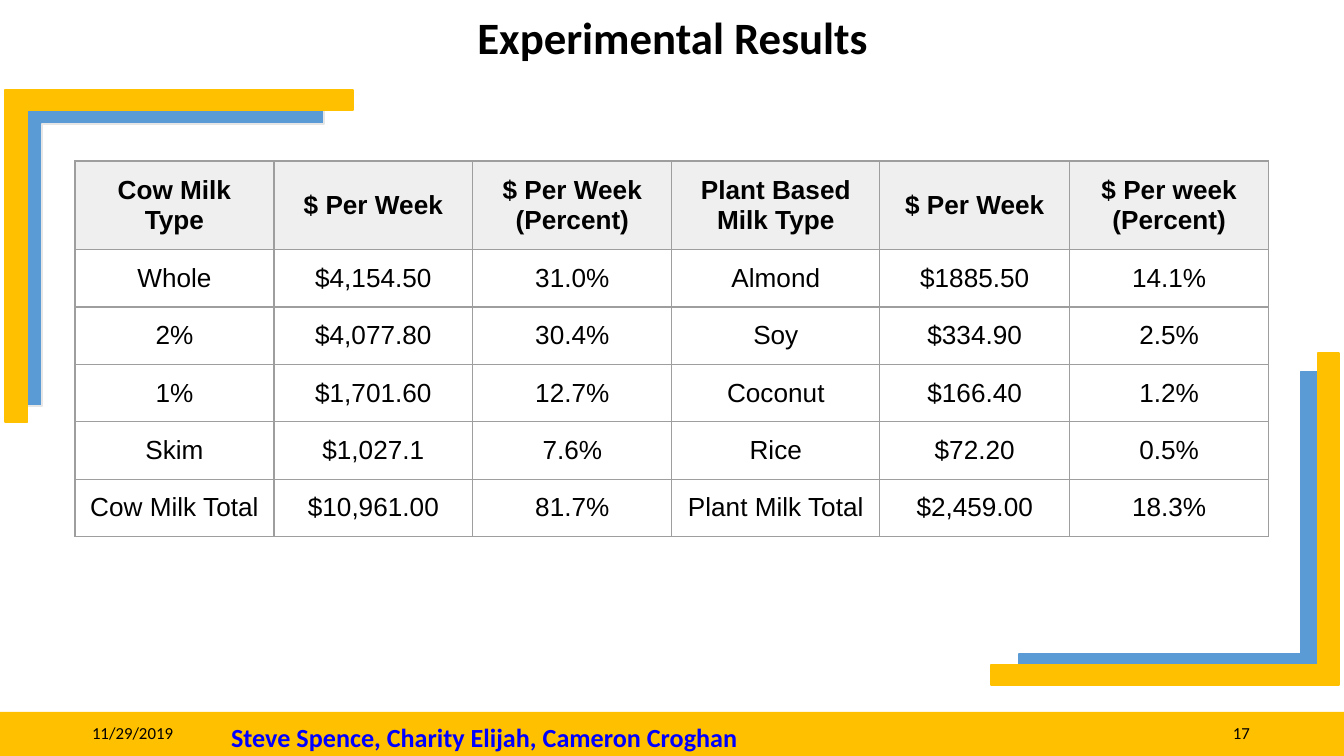
from dataclasses import dataclass

from lxml.etree import SubElement
from pptx import Presentation
from pptx.dml.color import RGBColor
from pptx.enum.shapes import MSO_SHAPE
from pptx.enum.text import MSO_ANCHOR, PP_ALIGN
from pptx.oxml.ns import qn
from pptx.util import Emu, Pt

SCALE = 9144000 / 1344

BLACK = RGBColor(0x00, 0x00, 0x00)
WHITE = RGBColor(0xFF, 0xFF, 0xFF)
GOLD = RGBColor(0xFF, 0xC0, 0x00)
BLUE = RGBColor(0x5B, 0x9B, 0xD5)
NAVY = RGBColor(0x00, 0x00, 0xFF)
PALE = RGBColor(0xE7, 0xE6, 0xE6)
HEADER = RGBColor(0xEF, 0xEF, 0xEF)
BORDER = RGBColor(0x9E, 0x9E, 0x9E)

COLUMNS = [199, 199, 199, 208, 190, 199]
ROWS = [86, 56, 56, 56, 56, 56]
RESULTS = [
    ["Cow Milk Type", "$ Per Week", "$ Per Week (Percent)",
     "Plant Based Milk Type", "$ Per Week", "$ Per week (Percent)"],
    ["Whole", "$4,154.50", "31.0%", "Almond", "$1885.50", "14.1%"],
    ["2%", "$4,077.80", "30.4%", "Soy", "$334.90", "2.5%"],
    ["1%", "$1,701.60", "12.7%", "Coconut", "$166.40", "1.2%"],
    ["Skim", "$1,027.1", "7.6%", "Rice", "$72.20", "0.5%"],
    ["Cow Milk Total", "$10,961.00", "81.7%", "Plant Milk Total", "$2,459.00", "18.3%"],
]


@dataclass
class Box:
    x: int
    y: int
    w: int
    h: int

    def emu(self) -> list[Emu]:
        return [px(v) for v in (self.x, self.y, self.w, self.h)]


@dataclass
class Corner:
    box: Box
    fill: RGBColor
    line: RGBColor
    bars: tuple[float, float]
    rotation: int = 0


@dataclass
class Label:
    box: Box
    text: str
    size: int
    color: RGBColor = BLACK
    bold: bool = False
    align: PP_ALIGN = PP_ALIGN.LEFT
    anchor: MSO_ANCHOR = MSO_ANCHOR.MIDDLE
    insets: tuple[int, int] = (9, 5)


CORNERS = [
    Corner(Box(19, 101, 305, 305), BLUE, PALE, (0.074, 0.077), 180),
    Corner(Box(1019, 372, 305, 305), BLUE, BLUE, (0.074, 0.077)),
    Corner(Box(5, 90, 348, 332), GOLD, GOLD, (0.061, 0.068), 180),
    Corner(Box(991, 353, 348, 332), GOLD, GOLD, (0.061, 0.064)),
]
FOOTER = [
    Label(Box(83, 711, 177, 44), "11/29/2019", 9),
    Label(Box(1083, 711, 176, 44), "17", 9, align=PP_ALIGN.RIGHT),
    Label(Box(218, 708, 707, 55), "Steve Spence, Charity Elijah, Cameron Croghan", 14,
          NAVY, True, anchor=MSO_ANCHOR.TOP, insets=(13, 13)),
]
TITLE = Label(Box(426, 0, 493, 79), "Experimental Results", 24, bold=True,
              align=PP_ALIGN.CENTER)


def px(value: int) -> Emu:
    return Emu(round(value * SCALE))


def assign(obj, values: dict) -> None:
    for name, value in values.items():
        setattr(obj, name, value)


def set_margins(obj, insets: tuple[int, int]) -> None:
    across, down = map(px, insets)
    assign(obj, {"margin_left": across, "margin_right": across,
                 "margin_top": down, "margin_bottom": down})


def set_text(tf, text: str, font: dict, color: RGBColor, align: PP_ALIGN) -> None:
    p = tf.paragraphs[0]
    p.alignment = align
    r = p.add_run()
    r.text = text
    assign(r.font, font)
    r.font.color.rgb = color


def format_label(sp, label: Label) -> None:
    assign(sp, dict(zip(("left", "top", "width", "height"), label.box.emu())))
    tf = sp.text_frame
    assign(tf, {"word_wrap": True, "vertical_anchor": label.anchor})
    set_margins(tf, label.insets)
    font = {"name": "Calibri", "size": Pt(label.size), "bold": label.bold}
    set_text(tf, label.text, font, label.color, label.align)


def add_filled(s, kind: MSO_SHAPE, box: Box, fill: RGBColor):
    sp = s.shapes.add_shape(kind, *box.emu())
    sp.shadow.inherit = False
    sp.fill.solid()
    sp.fill.fore_color.rgb = fill
    sp.line.fill.background()
    return sp


def add_corner(s, corner: Corner) -> None:
    sp = add_filled(s, MSO_SHAPE.CORNER, corner.box, corner.fill)
    sp.line.color.rgb = corner.line
    sp.line.width = Pt(1)
    sp.rotation = corner.rotation
    for i, bar in enumerate(corner.bars):
        sp.adjustments[i] = bar
    sp._element.spPr.get_or_add_xfrm().set("flipH", "1")


def add_borders(cell) -> None:
    tc_pr = cell._tc.get_or_add_tcPr()
    for side in ("a:lnL", "a:lnR", "a:lnT", "a:lnB"):
        ln = SubElement(tc_pr, qn(side), w=str(int(Pt(0.75))))
        fill = SubElement(ln, qn("a:solidFill"))
        SubElement(fill, qn("a:srgbClr"), val=str(BORDER))


def add_results(s) -> None:
    box = Box(75, 161, sum(COLUMNS), sum(ROWS))
    table = s.shapes.add_table(len(ROWS), len(COLUMNS), *box.emu()).table
    table.horz_banding = False
    for column, width in zip(table.columns, COLUMNS):
        column.width = px(width)
    for i, (row, height, texts) in enumerate(zip(table.rows, ROWS, RESULTS)):
        row.height = px(height)
        font = {"name": "Arial", "size": Pt(14), "bold": i == 0}
        for cell, text in zip(row.cells, texts):
            set_margins(cell, (13, 13))
            cell.vertical_anchor = MSO_ANCHOR.MIDDLE
            add_borders(cell)
            cell.fill.solid()
            cell.fill.fore_color.rgb = HEADER if i == 0 else WHITE
            set_text(cell.text_frame, text, font, BLACK, PP_ALIGN.CENTER)


def main() -> None:
    prs = Presentation()
    assign(prs, {"slide_width": px(1344), "slide_height": px(756)})
    s = prs.slides.add_slide(prs.slide_layouts[5])
    format_label(s.shapes.title, TITLE)
    s.shapes.title.text_frame.paragraphs[0].line_spacing = 0.9
    for corner in CORNERS:
        add_corner(s, corner)
    add_filled(s, MSO_SHAPE.RECTANGLE, Box(0, 712, 1344, 44), GOLD)
    for label in FOOTER:
        format_label(s.shapes.add_textbox(*label.box.emu()), label)
    add_results(s)
    prs.save("out.pptx")


if __name__ == "__main__":
    main()
